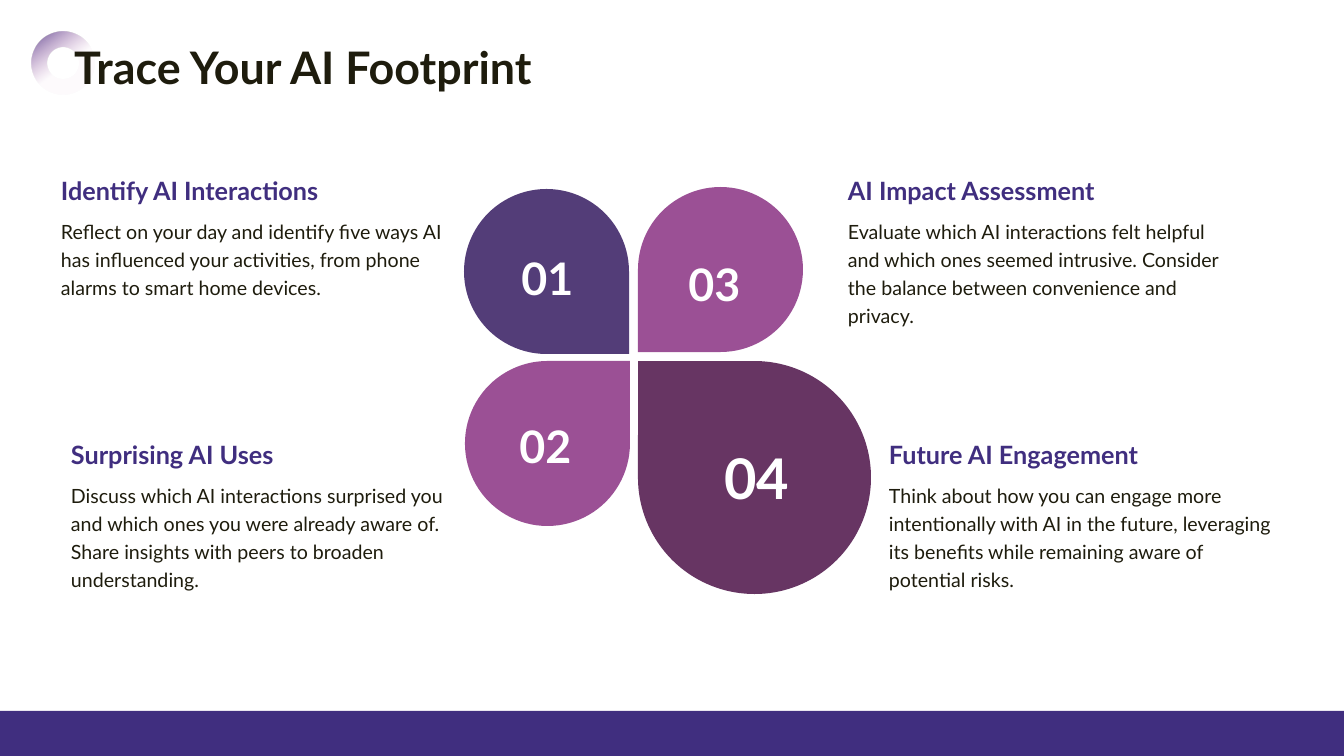
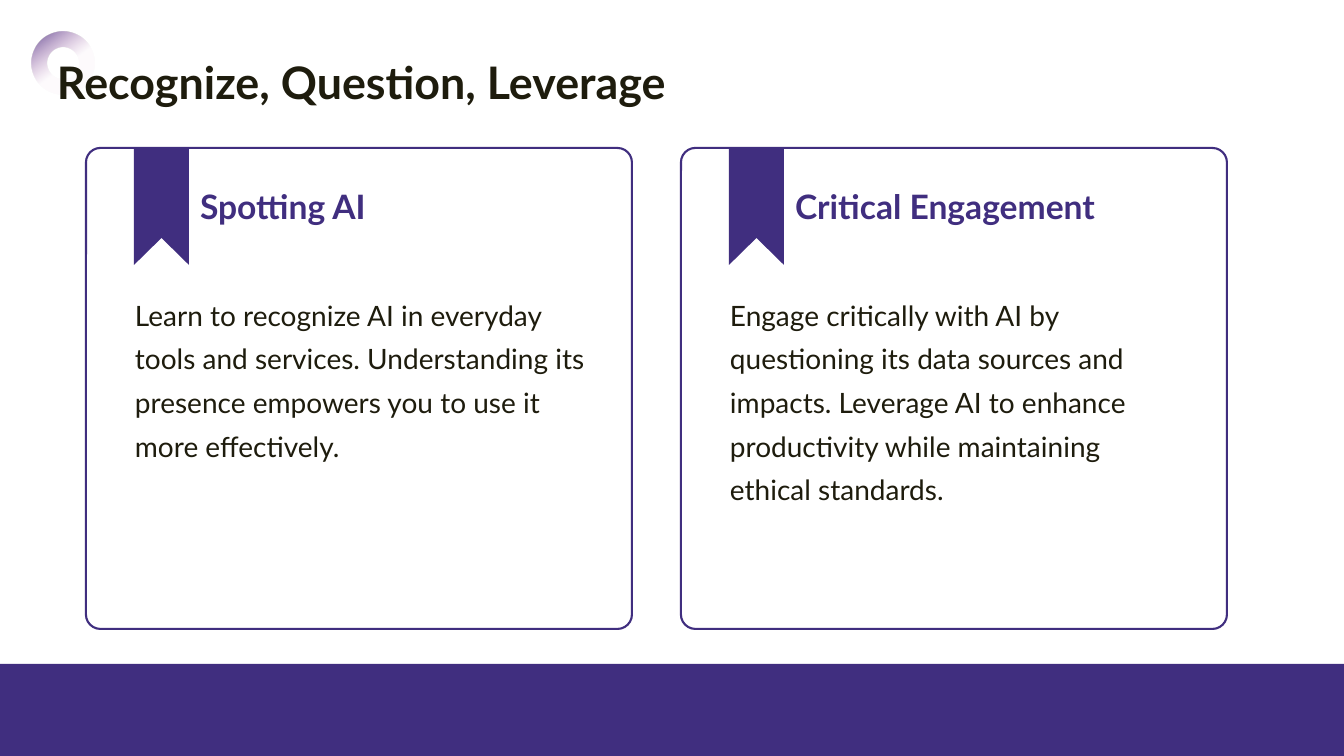
from lxml.etree import SubElement
from pptx import Presentation
from pptx.dml.color import RGBColor
from pptx.enum.shapes import MSO_SHAPE
from pptx.enum.text import MSO_ANCHOR, MSO_AUTO_SIZE, PP_ALIGN
from pptx.oxml.ns import qn
from pptx.util import Emu, Pt

SLIDE_WIDTH, SLIDE_HEIGHT = 1344, 756
EMU_PER_PX = 12192000 / SLIDE_WIDTH
TITLE_ONLY = 5
FONT = "Lato"

WHITE = RGBColor(0xFF, 0xFF, 0xFF)
INK = RGBColor(0x1E, 0x1C, 0x0D)
INDIGO = RGBColor(0x40, 0x2E, 0x7F)
VIOLET = RGBColor(0x53, 0x3D, 0x78)
ORCHID = RGBColor(0x9B, 0x50, 0x95)
PLUM = RGBColor(0x67, 0x35, 0x63)
PINK = RGBColor(0xBC, 0x7D, 0xB7)


def px(length):
    return Emu(round(length * EMU_PER_PX))


def write_text(frame, text, size=14, color=INK, bold=False,
               align=PP_ALIGN.LEFT, spacing=1.0, insets=(10, 5, 10, 5)):
    """Fill a frame with one formatted paragraph; insets are left, top, right, bottom."""
    frame.word_wrap = True
    frame.auto_size = MSO_AUTO_SIZE.NONE
    frame.vertical_anchor = MSO_ANCHOR.TOP
    (frame.margin_left, frame.margin_top,
     frame.margin_right, frame.margin_bottom) = map(px, insets)
    paragraph = frame.paragraphs[0]
    paragraph.alignment = align
    paragraph.line_spacing = spacing
    run = paragraph.add_run()
    run.text = text
    font = run.font
    font.name, font.size, font.bold = FONT, Pt(size), bold
    font.color.rgb = color


def fade_fill(shape, stops, angle):
    """Give a linear gradient; stops are (position %, colour, opacity %)."""
    shape.fill.gradient()
    gradient = shape._element.spPr.find(qn("a:gradFill"))
    gradient.find(qn("a:lin")).set("ang", str(angle * 60000))
    stop_list = gradient.find(qn("a:gsLst"))
    for stop in list(stop_list):
        stop_list.remove(stop)
    for position, color, opacity in stops:
        stop = SubElement(stop_list, qn("a:gs"), pos=str(position * 1000))
        value = SubElement(stop, qn("a:srgbClr"), val=str(color))
        SubElement(value, qn("a:alpha"), val=str(opacity * 1000))


class Deck:
    def __init__(self):
        self.presentation = Presentation()
        self.presentation.slide_width = px(SLIDE_WIDTH)
        self.presentation.slide_height = px(SLIDE_HEIGHT)
        self.slide = None

    def new_slide(self, title, left, top, width, band_height):
        """Start a slide with its ring, title and bottom band."""
        layout = self.presentation.slide_layouts[TITLE_ONLY]
        self.slide = self.presentation.slides.add_slide(layout)
        heading = self.slide.shapes.title
        heading.left, heading.top = px(left), px(top)
        heading.width, heading.height = px(width), px(55)
        write_text(heading.text_frame, title, size=32, bold=True)
        self.ring()
        self.shape(MSO_SHAPE.RECTANGLE, 0, SLIDE_HEIGHT - band_height,
                   SLIDE_WIDTH, band_height, INDIGO)

    def ring(self):
        """Draw the fading ring behind the title."""
        ring = self.shape(MSO_SHAPE.DONUT, 32, 32, 62, 62, INDIGO, rotation=99)
        ring.adjustments[0] = 0.25
        fade_fill(ring, [(0, INDIGO, 100), (54, PINK, 3), (100, PINK, 3)], 315)
        self.slide.shapes.title._element.addprevious(ring._element)

    def style(self, shape, fill, line=None):
        shape.shadow.inherit = False
        shape.fill.solid()
        shape.fill.fore_color.rgb = fill
        if line is None:
            shape.line.fill.background()
        else:
            shape.line.color.rgb = line
            shape.line.width = Pt(1.5)

    def shape(self, kind, left, top, width, height, fill, line=None, rotation=0):
        shape = self.slide.shapes.add_shape(
            kind, px(left), px(top), px(width), px(height))
        shape.rotation = rotation
        self.style(shape, fill, line)
        return shape

    def text(self, text, left, top, width, height, **text_format):
        box = self.slide.shapes.add_textbox(
            px(left), px(top), px(width), px(height))
        write_text(box.text_frame, text, **text_format)

    def petal(self, left, top, side, rotation, fill):
        self.shape(MSO_SHAPE.TEAR, left, top, side, side, fill, rotation=rotation)

    def number(self, text, left, top, width=80, height=65, size=32):
        self.text(text, left, top, width, height, size=size, color=WHITE,
                  bold=True, align=PP_ALIGN.CENTER, insets=(5, 10, 10, 5))

    def topic(self, heading, body, left, top):
        self.text(heading, left, top, 448, 31, size=18, color=INDIGO, bold=True)
        self.text(body, left, top + 40, 414, 179, spacing=1.2)

    def ribbon(self, left, top):
        width, height, notch = 55, 117, 90
        builder = self.slide.shapes.build_freeform(
            px(left), px(top), scale=1.0)
        outline = [(width, 0), (width, height), (width / 2, notch), (0, height)]
        builder.add_line_segments(
            [(px(left + x), px(top + y)) for x, y in outline], close=True)
        self.style(builder.convert_to_shape(), INDIGO)

    def card(self, heading, body, left, top):
        frame = self.shape(MSO_SHAPE.ROUNDED_RECTANGLE, left, top, 546, 481,
                           WHITE, line=INDIGO)
        frame.adjustments[0] = 0.03
        self.ribbon(left + 48, top)
        self.text(heading, left + 104, top + 33, 406, 40,
                  size=24, color=INDIGO, bold=True)
        self.text(body, left + 39, top + 135, 472, 326, size=20, spacing=1.3)


def add_footprint_slide(deck):
    deck.new_slide("Trace Your AI Footprint", 64, 35, 958, band_height=45)
    deck.petal(638, 361, 233, 270, PLUM)
    deck.petal(638, 187, 165, 180, ORCHID)
    deck.petal(465, 361, 165, 0, ORCHID)
    deck.petal(464, 189, 165, 90, VIOLET)
    deck.number("01", 510, 241)
    deck.number("02", 508, 409)
    deck.number("03", 677, 247)
    deck.number("04", 689, 434, 140, 78, size=40)
    topics = [
        ("Identify AI Interactions",
         "Reflect on your day and identify five ways AI has influenced your "
         "activities, from phone alarms to smart home devices.", 51, 170),
        ("Surprising AI Uses",
         "Discuss which AI interactions surprised you and which ones you were "
         "already aware of. Share insights with peers to broaden "
         "understanding.", 61, 434),
        ("AI Impact Assessment",
         "Evaluate which AI interactions felt helpful and which ones seemed "
         "intrusive. Consider the balance between convenience and privacy.",
         838, 170),
        ("Future AI Engagement",
         "Think about how you can engage more intentionally with AI in the "
         "future, leveraging its benefits while remaining aware of potential "
         "risks.", 879, 434),
    ]
    for heading, body, left, top in topics:
        deck.topic(heading, body, left, top)


def add_summary_slide(deck):
    deck.new_slide("Recognize, Question, Leverage", 47, 50, 1119, band_height=92)
    cards = [
        ("Spotting AI",
         "Learn to recognize AI in everyday tools and services. Understanding "
         "its presence empowers you to use it more effectively."),
        ("Critical Engagement",
         "Engage critically with AI by questioning its data sources and "
         "impacts. Leverage AI to enhance productivity while maintaining "
         "ethical standards."),
    ]
    for index, (heading, body) in enumerate(cards):
        deck.card(heading, body, 86 + 595 * index, 148)


def main():
    deck = Deck()
    add_footprint_slide(deck)
    add_summary_slide(deck)
    deck.presentation.save("out.pptx")


if __name__ == "__main__":
    main()
